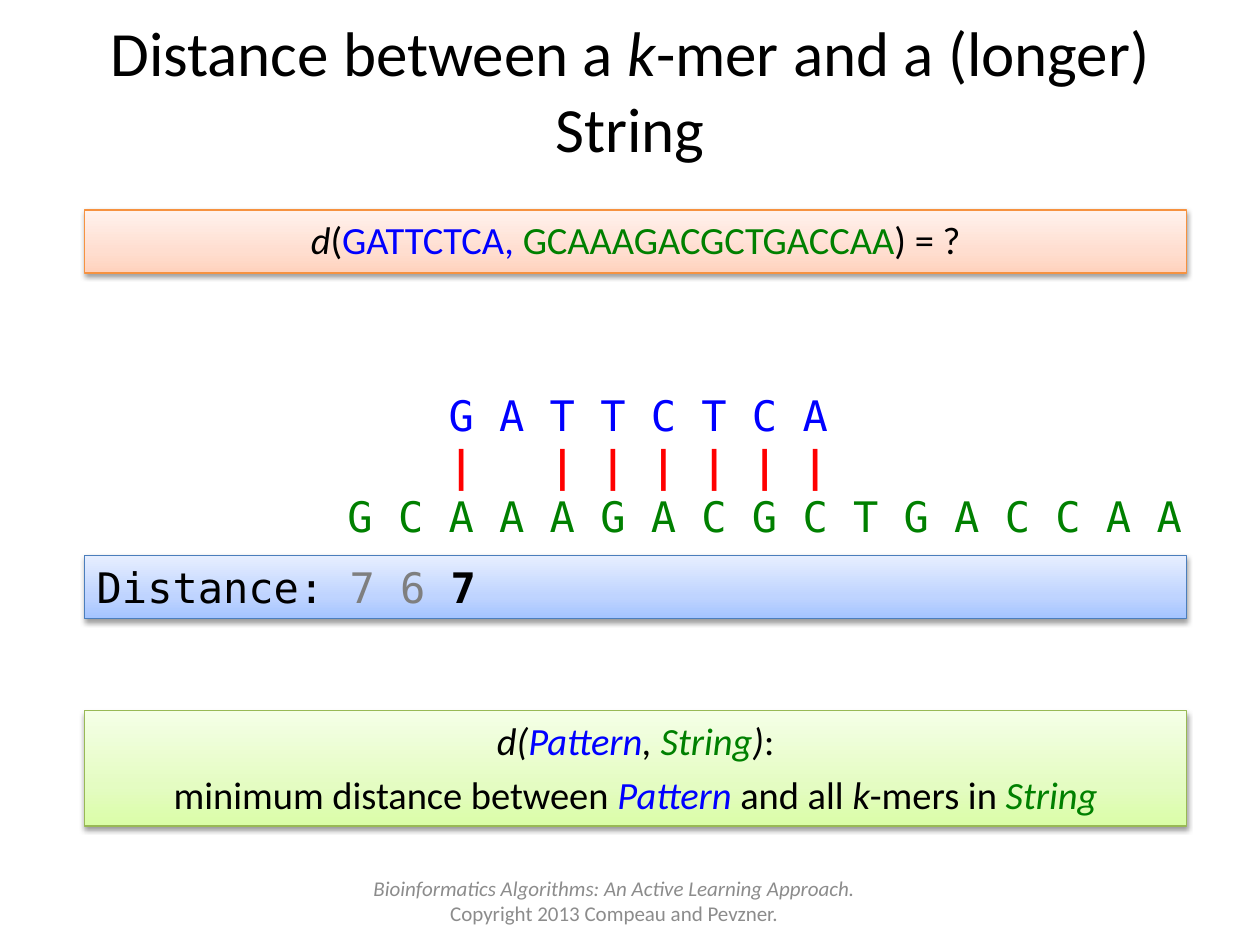
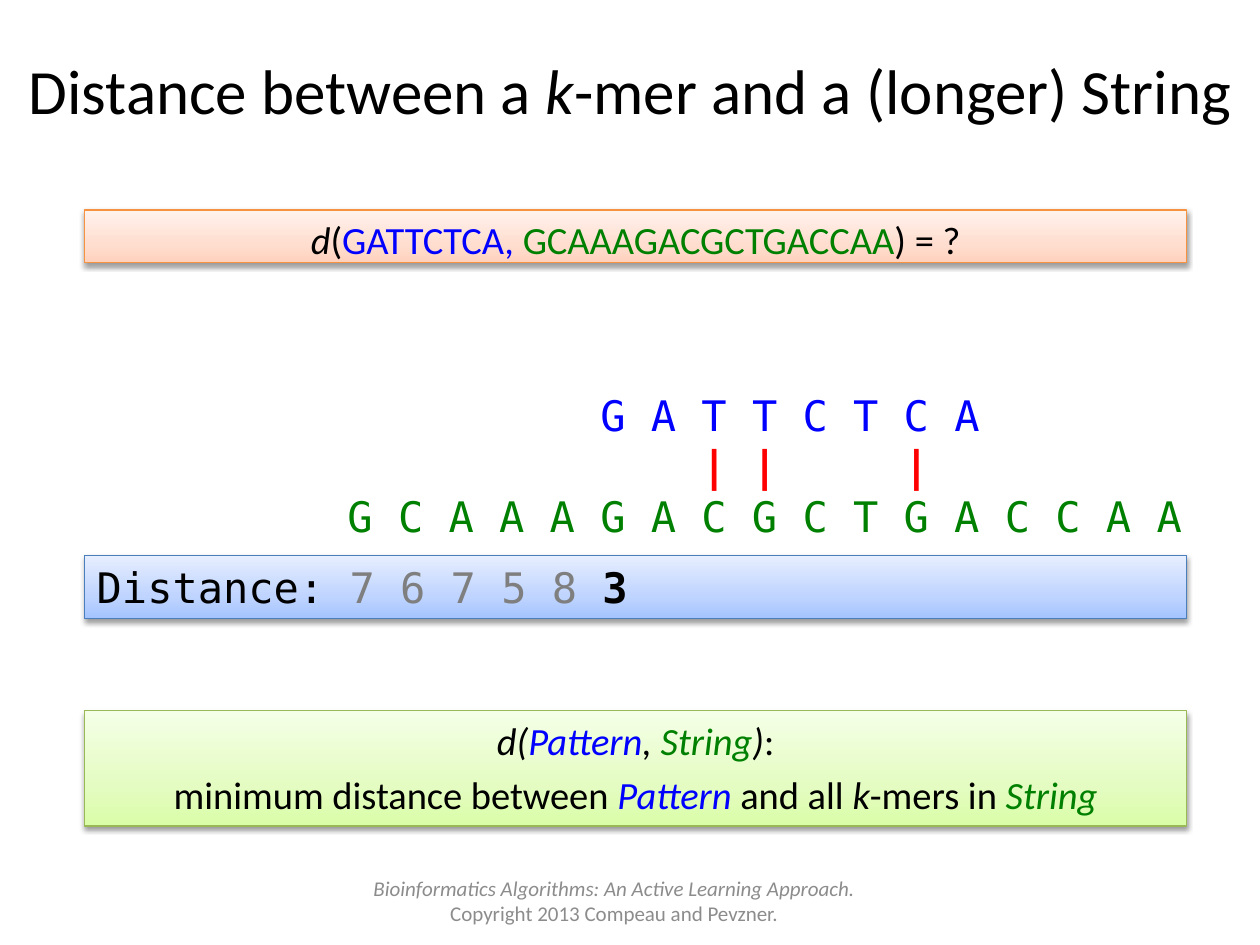
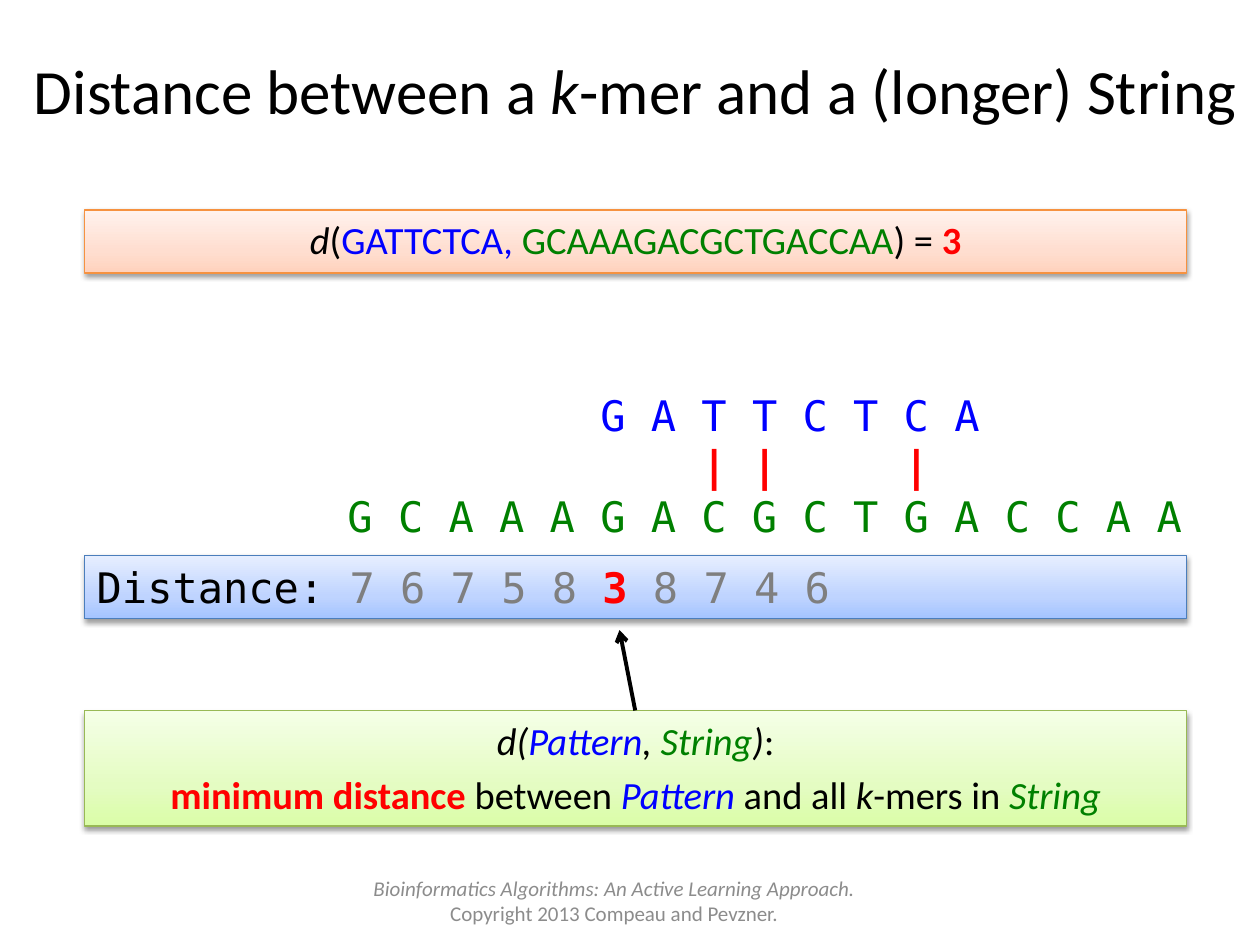
from functools import partial

from lxml import etree
from pptx import Presentation
from pptx.dml.color import RGBColor
from pptx.enum import shapes, text
from pptx.oxml.ns import qn
from pptx.util import Pt

BLACK, BLUE, GREEN, RED = "000000", "0000FF", "008000", "FF0000"
GRAY, PALE = "7F7F7F", "8C8C8C"
SANS, MONO = "Calibri", "DejaVu Sans Mono"
LEFT, WIDTH = 48.2, 630
STEP = 28.9  # two characters of 24 pt mono
ORANGE_BOX = ("F69240", "FFD2BD", "FFDED0", "FFF2ED")
BLUE_BOX = ("4B7EBC", "A4C4FF", "BFD4FF", "E6EEFF")
GREEN_BOX = ("98B955", "DAFDA7", "E4FCC2", "F5FFE7")
PATTERN = "GATTCTCA"
STRING = "GCAAAGACGCTGACCAA"
DISTS = "7 6 7 5 8 3 8 7 4 6".split()


def paint(hue):
    return RGBColor.from_string(hue)


def write(par, words, color=BLACK, size=22, font=SANS, bold=False, italic=False):
    run = par.add_run()
    run.text = words
    face = run.font
    face.name, face.size, face.bold, face.italic = font, Pt(size), bold, italic
    face.color.rgb = paint(color)


def node(parent, tag, **attrs):
    return etree.SubElement(parent, qn(tag), {k: str(v) for k, v in attrs.items()})


def tint(parent, hue):
    return node(parent, "a:srgbClr", val=hue)


def area(slide, left, top, width, height):
    """Add a wrapping text box and return its text frame."""
    frame = slide.shapes.add_textbox(Pt(left), Pt(top), Pt(width), Pt(height)).text_frame
    frame.word_wrap = True
    return frame


def panel(slide, top, height, hues):
    """Add a shaded box and return its text frame."""
    box = slide.shapes.add_shape(
        shapes.MSO_SHAPE.RECTANGLE, Pt(LEFT), Pt(top), Pt(WIDTH), Pt(height))
    edge, *stops = hues
    box.fill.gradient()
    box.fill.gradient_angle = 90
    ramp = box.fill._xPr.find(".//" + qn("a:gsLst"))
    for old in list(ramp):
        ramp.remove(old)
    for place, hue in zip((0, 35, 100), stops):
        tint(node(ramp, "a:gs", pos=place * 1000), hue)
    box.line.color.rgb = paint(edge)
    box.line.width = Pt(0.75)
    box.shadow.inherit = False
    glow = box._element.spPr.find(qn("a:effectLst"))
    shade = node(glow, "a:outerShdw", blurRad=Pt(3.1), dist=Pt(1.6),
                 dir=90 * 60000, rotWithShape=0)
    node(tint(shade, BLACK), "a:alpha", val=38000)
    frame = box.text_frame
    frame.word_wrap = True
    frame.vertical_anchor = text.MSO_ANCHOR.TOP
    frame.paragraphs[0].alignment = text.PP_ALIGN.LEFT
    return frame


def center(par):
    par.alignment = text.PP_ALIGN.CENTER
    return par


def head(slide, left, width):
    title = slide.shapes.title
    title.left, title.top, title.width, title.height = map(Pt, (left, 6, width, 90))
    frame = title.text_frame
    frame.vertical_anchor = text.MSO_ANCHOR.MIDDLE
    put = partial(write, center(frame.paragraphs[0]), size=36)
    put("Distance between a ")
    put("k", italic=True)
    put("-mer and a (longer) String")


def query(slide, height, solved):
    put = partial(write, center(panel(slide, 120, height, ORANGE_BOX).paragraphs[0]))
    put("d", italic=True)
    put("(")
    put(PATTERN + ", ", color=BLUE)
    put(STRING, color=GREEN)
    if solved:
        put(") = ")
        put(min(DISTS), color=RED, bold=True)
    else:
        put(") = ?")


def align(slide, shift):
    """Set the pattern above the string, with a bar at each mismatch."""
    frame = area(slide, 191.5, 218.9, 496, 94.3)
    top, mid, low = frame.paragraphs[0], frame.add_paragraph(), frame.add_paragraph()
    put = partial(write, size=24, font=MONO)

    top._p.get_or_add_pPr().set("marL", str(Pt(shift * STEP)))
    put(top, " ".join(PATTERN), color=BLUE)

    gaps = [shift + i for i, (a, b) in enumerate(zip(PATTERN, STRING[shift:])) if a != b]
    tabs = node(mid._p.get_or_add_pPr(), "a:tabLst")
    for col in gaps:
        node(tabs, "a:tab", pos=Pt(col * STEP), algn="l")
    put(mid, "\t|" * len(gaps), color=RED, bold=True)

    put(low, " ".join(STRING), color=GREEN)


def score(slide, shift, solved):
    par = panel(slide, 317.5, 36, BLUE_BOX).paragraphs[0]
    put = partial(write, par, size=24, font=MONO)
    put("Distance: ")
    put(" ".join(DISTS[:shift]) + " ", color=GRAY)
    put(DISTS[shift], color=RED if solved else BLACK, bold=True)
    if solved:
        put(" " + " ".join(DISTS[shift + 1:]), color=GRAY)


def define(slide, solved):
    frame = panel(slide, 406, 66, GREEN_BOX)
    put = partial(write, center(frame.paragraphs[0]), italic=True)
    put("d(")
    put("Pattern", color=BLUE)
    put(", ")
    put("String", color=GREEN)
    put(")")
    put(":", italic=False)

    par = center(frame.add_paragraph())
    par.space_before = Pt(4.4)
    put = partial(write, par)
    put("minimum distance ", color=RED if solved else BLACK, bold=solved)
    put("between ")
    put("Pattern ", color=BLUE, italic=True)
    put("and all ")
    put("k", italic=True)
    put("-mers in ")
    put("String", color=GREEN, italic=True)


def arrow(slide, start, end):
    line = slide.shapes.add_connector(
        shapes.MSO_CONNECTOR.STRAIGHT, *map(Pt, start + end))
    line.line.color.rgb = paint(BLACK)
    line.line.width = Pt(2.25)
    props = line._element.spPr
    node(props.find(qn("a:ln")), "a:tailEnd", type="arrow")
    node(props, "a:effectLst")


def foot(slide):
    frame = area(slide, 186, 500.4, 330, 28.8)
    frame.vertical_anchor = text.MSO_ANCHOR.MIDDLE
    put = partial(write, size=12, color=PALE)
    put(center(frame.paragraphs[0]),
        "Bioinformatics Algorithms: An Active Learning Approach.", italic=True)
    put(center(frame.add_paragraph()), "Copyright 2013 Compeau and Pevzner.")


def build(deck, shift, left, width, height=36, solved=False):
    slide = deck.slides.add_slide(deck.slide_layouts[5])
    head(slide, left, width)
    query(slide, height, solved)
    align(slide, shift)
    score(slide, shift, solved)
    define(slide, solved)
    if solved:
        arrow(slide, (363, 406), (354, 360))
    foot(slide)


def main():
    deck = Presentation()
    deck.slide_width, deck.slide_height = Pt(720), Pt(540)
    build(deck, 2, left=36, width=648)
    build(deck, 5, left=0, width=720, height=30)
    build(deck, 5, left=6, width=714, solved=True)
    deck.save("out.pptx")


if __name__ == "__main__":
    main()
